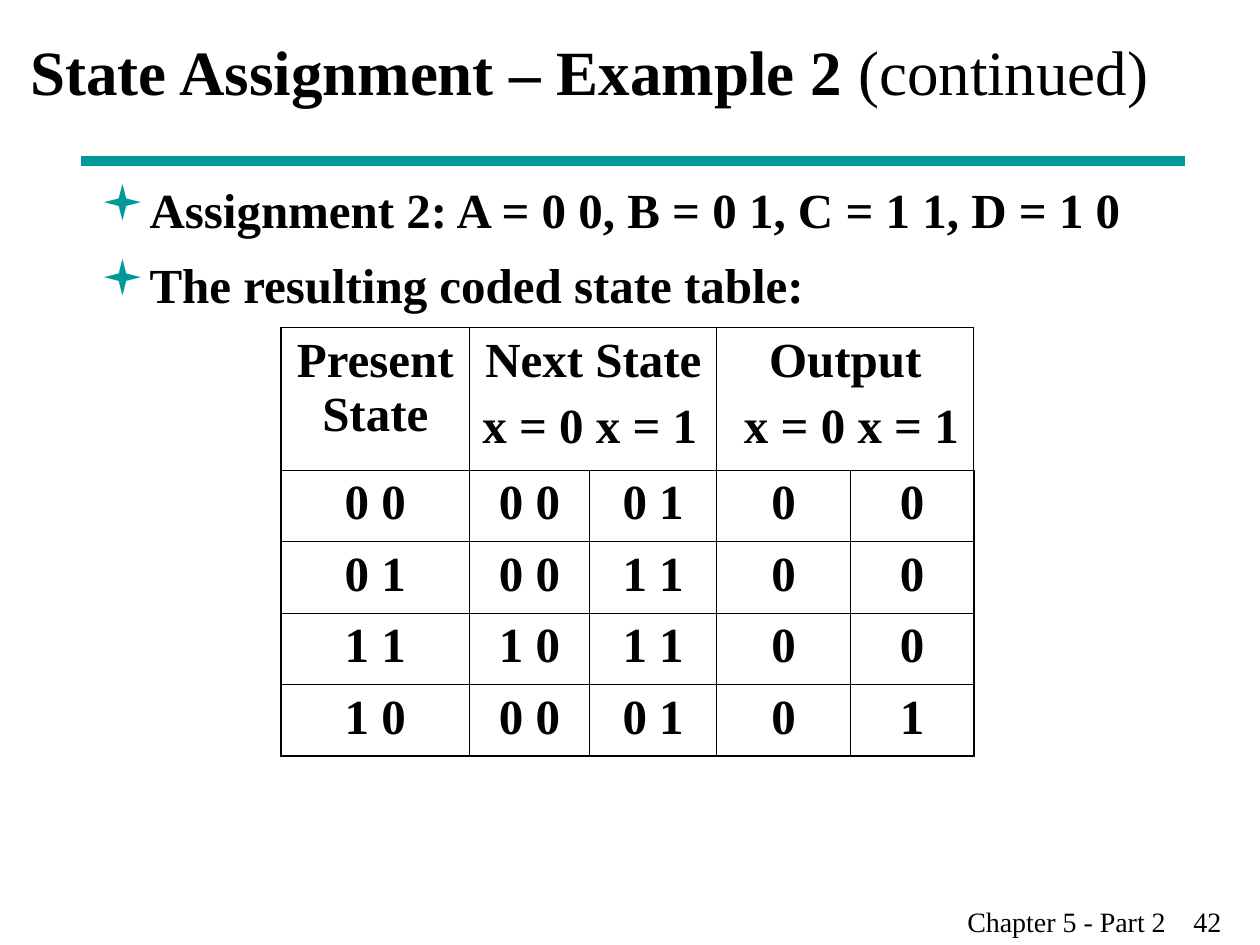
from lxml import etree
from pptx import Presentation
from pptx.dml.color import RGBColor
from pptx.enum import shapes, text
from pptx.oxml.ns import qn
from pptx.util import Cm, Pt

BLACK = RGBColor(0x00, 0x00, 0x00)
TEAL = RGBColor(0x00, 0x99, 0x99)
FONT = "Times New Roman"
BODY_SIZE = 28
INNER_LINE, OUTER_LINE = 0.45, 1.08

ASSIGNMENT_POINTS = [
    "Assignment 2: A = 0 0, B = 0 1, C = 1 1, D = 1 0",
    "The resulting coded state table:",
]
HEADERS = {
    0: ["Present State"],
    1: ["Next State", "x = 0 x = 1"],
    3: ["Output", " x = 0 x = 1"],
}
STATES = [
    ["0 0", "0 0", "0 1", "0", "0"],
    ["0 1", "0 0", "1 1", "0", "0"],
    ["1 1", "1 0", "1 1", "0", "0"],
    ["1 0", "0 0", "0 1", "0", "1"],
]
COLUMN_WIDTHS = [3.81, 2.41, 2.57, 2.69, 2.49]
HEADER_HEIGHT, STATE_HEIGHT = 2.87, 1.44


def add_run(paragraph, words, size=BODY_SIZE, bold=True):
    run = paragraph.add_run()
    run.text = words
    run.font.name = FONT
    run.font.size = Pt(size)
    run.font.bold = bold
    run.font.color.rgb = BLACK


def write_lines(frame, lines, alignment):
    """Write one paragraph a line and return the paragraphs."""
    for index, line in enumerate(lines):
        paragraph = frame.paragraphs[0] if index == 0 else frame.add_paragraph()
        paragraph.alignment = alignment
        if index:
            paragraph.space_before = Pt(7)
        add_run(paragraph, line)
    return frame.paragraphs


def add_bullet(paragraph):
    properties = paragraph._p.get_or_add_pPr()
    properties.set("marL", str(Cm(0.82)))
    properties.set("indent", str(-Cm(0.82)))
    colour = etree.SubElement(properties, qn("a:buClr"))
    etree.SubElement(colour, qn("a:srgbClr"), val=str(TEAL))
    etree.SubElement(properties, qn("a:buFont"), typeface="Wingdings")
    etree.SubElement(properties, qn("a:buChar"), char="▪")


def set_borders(cell, widths):
    """Draw the left, right, top and bottom borders, in points."""
    properties = cell._tc.get_or_add_tcPr()
    for index, (side, width) in enumerate(zip("LRTB", widths)):
        border = etree.Element(qn(f"a:ln{side}"), w=str(Pt(width)))
        fill = etree.SubElement(border, qn("a:solidFill"))
        etree.SubElement(fill, qn("a:srgbClr"), val=str(BLACK))
        properties.insert(index, border)


def place_title(slide, left, top, width, height):
    title = slide.shapes.title
    title.left, title.top, title.width, title.height = map(Cm, (left, top, width, height))
    frame = title.text_frame
    frame.auto_size = text.MSO_AUTO_SIZE.NONE
    frame.vertical_anchor = text.MSO_ANCHOR.MIDDLE
    heading = frame.paragraphs[0]
    heading.alignment = text.PP_ALIGN.LEFT
    add_run(heading, "State Assignment – Example 2 ", 36)
    add_run(heading, "(continued)", 36, bold=False)


def add_rule(slide, left, top, width):
    rule = slide.shapes.add_connector(
        shapes.MSO_CONNECTOR.STRAIGHT, Cm(left), Cm(top), Cm(left + width), Cm(top))
    rule.line.color.rgb = TEAL
    rule.line.width = Pt(6)
    etree.SubElement(rule._element.spPr, qn("a:effectLst"))


def add_points(slide, left, top, width, height):
    points = slide.shapes.add_textbox(Cm(left), Cm(top), Cm(width), Cm(height))
    points.text_frame.word_wrap = True
    for paragraph in write_lines(points.text_frame, ASSIGNMENT_POINTS, text.PP_ALIGN.LEFT):
        add_bullet(paragraph)
    points.text_frame.paragraphs[1].space_before = Pt(9)


def add_state_table(slide, left, top):
    rows, columns = len(STATES) + 1, len(COLUMN_WIDTHS)
    height = HEADER_HEIGHT + STATE_HEIGHT * len(STATES)
    table = slide.shapes.add_table(
        rows, columns, Cm(left), Cm(top), Cm(sum(COLUMN_WIDTHS)), Cm(height)).table
    table.first_row = table.horz_banding = False
    for column, width in zip(table.columns, COLUMN_WIDTHS):
        column.width = Cm(width)
    for index, row in enumerate(table.rows):
        row.height = Cm(STATE_HEIGHT if index else HEADER_HEIGHT)

    for r in range(rows):
        for c in range(columns):
            cell = table.cell(r, c)
            cell.fill.background()
            at_edge = (c == 0, c == columns - 1, r == 0, r == rows - 1)
            set_borders(cell, [OUTER_LINE if edge else INNER_LINE for edge in at_edge])
            if r:
                write_lines(cell.text_frame, [STATES[r - 1][c]], text.PP_ALIGN.CENTER)

    for c, lines in HEADERS.items():
        if c:
            table.cell(0, c).merge(table.cell(0, c + 1))
        write_lines(table.cell(0, c).text_frame, lines, text.PP_ALIGN.CENTER)
    table.cell(0, 1).text_frame.paragraphs[1].alignment = text.PP_ALIGN.LEFT


def add_footer(slide, left, top, width, height):
    footer = slide.shapes.add_textbox(Cm(left), Cm(top), Cm(width), Cm(height))
    footer.text_frame.word_wrap = True
    paragraph = footer.text_frame.paragraphs[0]
    tabs = etree.SubElement(paragraph._p.get_or_add_pPr(), qn("a:tabLst"))
    etree.SubElement(tabs, qn("a:tab"), pos=str(Cm(4.56)), algn="l")
    add_run(paragraph, "Chapter 5 - Part 2\t42", 16, bold=False)


def main():
    presentation = Presentation()
    presentation.slide_width, presentation.slide_height = Cm(25.4), Cm(19.05)
    slide = presentation.slides.add_slide(presentation.slide_layouts[5])
    add_rule(slide, 1.63, 3.25, 22.25)
    add_footer(slide, 19.25, 18.11, 6.15, 0.94)
    add_points(slide, 1.78, 3.5, 21.6, 4.95)
    add_state_table(slide, 5.66, 6.6)
    place_title(slide, 0.36, 0, 23.24, 2.84)
    presentation.save("out.pptx")


if __name__ == "__main__":
    main()
